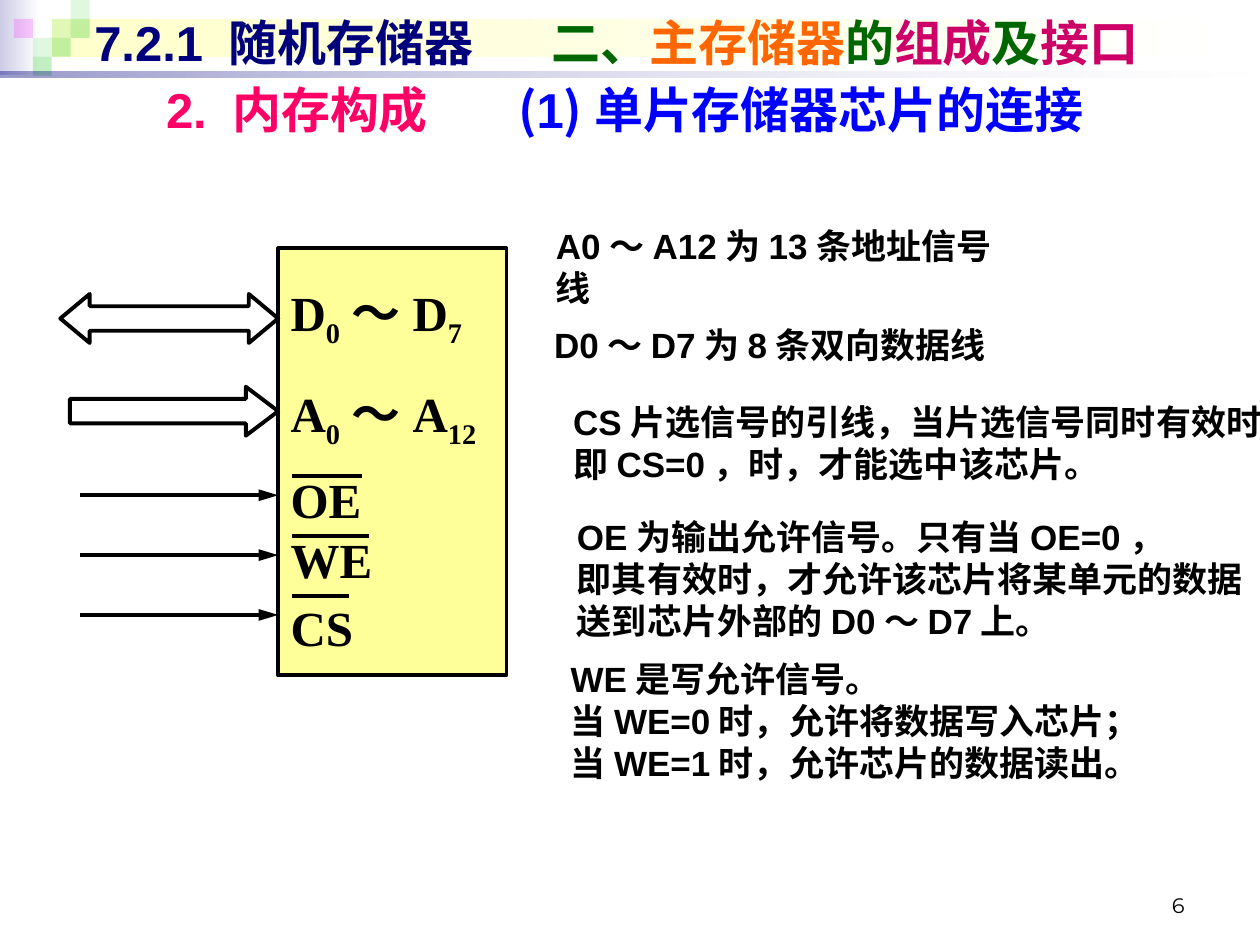
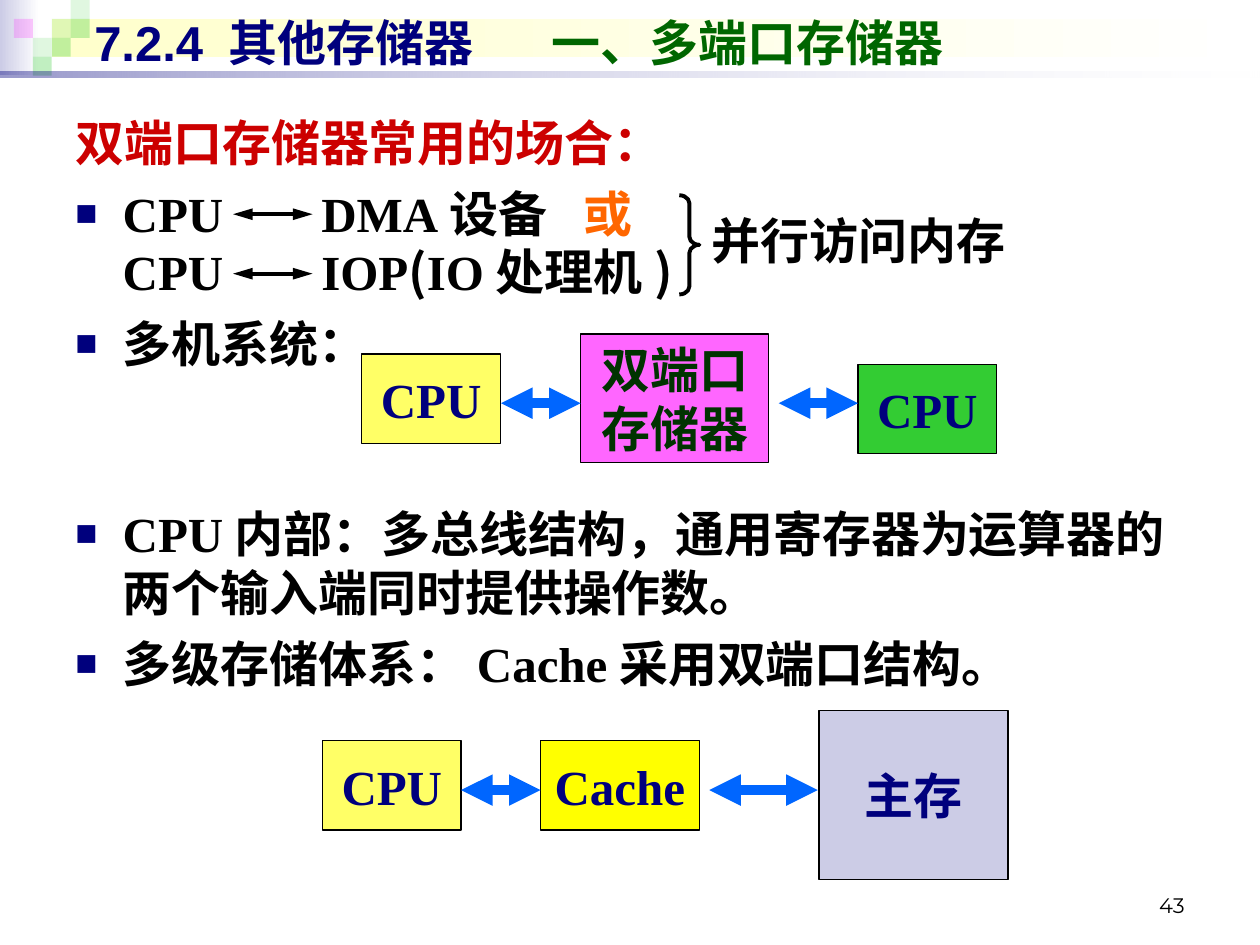
from dataclasses import dataclass

from lxml import etree
from pptx import Presentation
from pptx.dml.color import RGBColor
from pptx.enum import shapes, text
from pptx.oxml import ns
from pptx.util import Pt

NAVY = RGBColor(0x00, 0x00, 0x7D)
BLUE = RGBColor(0x00, 0x00, 0xFF)
LINK_BLUE = RGBColor(0x00, 0x66, 0xFF)
LAVENDER = RGBColor(0xCC, 0xCC, 0xE6)
GREEN = RGBColor(0x33, 0xCC, 0x33)
DARK_GREEN = RGBColor(0x00, 0x66, 0x00)
DEEP_GREEN = RGBColor(0x00, 0x33, 0x00)
MAGENTA = RGBColor(0xFF, 0x00, 0xFF)
PINK = RGBColor(0xFF, 0x66, 0xFF)
ROSE = RGBColor(0xFF, 0x00, 0x66)
CRIMSON = RGBColor(0xCC, 0x00, 0x66)
RED = RGBColor(0xCC, 0x00, 0x00)
ORANGE = RGBColor(0xFF, 0x66, 0x00)
CREAM = RGBColor(0xFF, 0xFF, 0xCC)
CHIP_YELLOW = RGBColor(0xFF, 0xFF, 0x99)
LEMON = RGBColor(0xFF, 0xFF, 0x66)
YELLOW = RGBColor(0xFF, 0xFF, 0x00)
BLACK = RGBColor(0x00, 0x00, 0x00)
WHITE = RGBColor(0xFF, 0xFF, 0xFF)

SANS, SERIF, CJK = "Arial", "Times New Roman", "Noto Sans CJK SC"
RECT = shapes.MSO_SHAPE.RECTANGLE
MIDDLE = text.MSO_ANCHOR.MIDDLE
STROKE = 2.24


@dataclass
class Run:
    """A piece of text; spread widens its letter spacing, in points."""
    text: str
    color: RGBColor = BLACK
    font: str = SANS
    size: float = 28
    bold: bool = True
    spread: float = 0
    subscript: bool = False


def add_child(parent, tag, **attributes):
    """Append a DrawingML element with the given attributes."""
    return etree.SubElement(parent, ns.qn(tag), attributes)


def add_runs(paragraph, runs):
    """Write the runs into the paragraph; a newline is a line break."""
    for item in runs:
        if item.text == "\n":
            paragraph.add_line_break()
            continue
        run = paragraph.add_run()
        run.text = item.text
        run.font.size, run.font.bold = Pt(item.size), item.bold
        run.font.name, run.font.color.rgb = item.font, item.color
        properties = run.font._element
        add_child(properties, "a:ea", typeface=CJK)
        if item.spread:
            properties.set("spc", str(round(item.spread * 100)))
        if item.subscript:
            properties.set("baseline", "-25000")


def fill_frame(frame, paragraphs, anchor=None, align=None, wrap=True):
    """Fill a text frame with lists of runs, one list a paragraph."""
    frame.word_wrap = wrap
    frame.vertical_anchor = anchor
    for index, runs in enumerate(paragraphs):
        paragraph = frame.paragraphs[0] if index == 0 else frame.add_paragraph()
        paragraph.alignment = align
        add_runs(paragraph, runs)


def add_text(slide, box, paragraphs, **options):
    """Add a text box at (left, top, width, height)."""
    frame = slide.shapes.add_textbox(*map(Pt, box)).text_frame
    fill_frame(frame, paragraphs, **options)
    return frame


def add_shape(slide, box, kind=RECT, fill=None, line=None, width=STROKE):
    """Add a flat preset shape with optional fill and outline."""
    shape = slide.shapes.add_shape(kind, *map(Pt, box))
    shape.shadow.inherit = False
    if fill is None:
        shape.fill.background()
    else:
        shape.fill.solid()
        shape.fill.fore_color.rgb = fill
    if line is None:
        shape.line.fill.background()
    else:
        shape.line.color.rgb = line
        shape.line.width = Pt(width)
    return shape


def set_opacity(shape, *percents):
    """Give the fill colours of a shape their opacities, in order."""
    colors = shape._element.spPr.iter(ns.qn("a:srgbClr"))
    for color, percent in zip(colors, percents):
        add_child(color, "a:alpha", val=str(percent * 1000))


def add_fade(slide, box, start, end):
    """Add a rectangle that fades from left to right."""
    shape = add_shape(slide, box)
    shape.fill.gradient()
    shape.fill.gradient_angle = 0
    for stop, color in zip(shape.fill.gradient_stops, (start, end)):
        stop.color.rgb = color
    return shape


def add_line(slide, start, end, color=BLACK, width=STROKE, heads=(), length="lg"):
    """Add a straight line; heads names the ends that carry arrowheads."""
    line = slide.shapes.add_connector(
        shapes.MSO_CONNECTOR.STRAIGHT, *map(Pt, (*start, *end)))
    line.line.color.rgb = color
    line.line.width = Pt(width)
    outline = line.line._get_or_add_ln()
    for head in heads:
        add_child(outline, f"a:{head}End", type="triangle", w="med", len=length)
    add_child(line._element.spPr, "a:effectLst")


def add_frame(slide, title, number):
    """Draw the header band, the title and the slide number."""
    add_fade(slide, (0, 0, 22.5, 43), LAVENDER, WHITE)
    add_fade(slide, (29.6, 10.8, 687.6, 21.6), CREAM, WHITE)
    tile = 10.8
    for column, row, color, opacity in (
            (2, 1, GREEN, 15), (3, 0, GREEN, 15), (3, 1, GREEN, 30),
            (1, 2, GREEN, 15), (0, 1, MAGENTA, 20), (2, 2, GREEN, 30),
            (1, 3, GREEN, 30)):
        square = add_shape(slide, (8 + column * tile, row * tile, tile, tile), fill=color)
        set_opacity(square, opacity)
    set_opacity(add_fade(slide, (0, 40.8, 720, 3.6), NAVY, WHITE), 40, 10)
    add_text(slide, (516, 491.8, 168, 36),
             [[Run(str(number), font="Montserrat", size=12, bold=False)]],
             anchor=text.MSO_ANCHOR.BOTTOM, align=text.PP_ALIGN.RIGHT)
    add_text(slide, (46.8, 3.6, 648, 41), [title], anchor=MIDDLE)


def add_chip(slide, left, top):
    """Draw the memory chip with its buses, control lines and pin names."""
    add_shape(slide, (left, top, 130.5, 244), fill=CHIP_YELLOW, line=BLACK)
    buses = (
        (shapes.MSO_SHAPE.LEFT_RIGHT_ARROW, 124.5, 26, 0.6, 16, "D", "7"),
        (shapes.MSO_SHAPE.RIGHT_ARROW, 119, 79, 0.66, 73.5, "A", "12"))
    for kind, width, offset, head, label, letter, last in buses:
        arrow = add_shape(slide, (left - width, top + offset, width, 28), kind, line=BLACK)
        arrow.adjustments[0], arrow.adjustments[1] = 0.5, head
        add_text(slide, (left, top + label, 130.5, 45), [[
            Run(letter, font=SERIF), Run("0", font=SERIF, subscript=True),
            Run("～" + letter, font=SERIF), Run(last, font=SERIF, subscript=True)]])
    pins = (("OE", 123, 39.6), ("WE", 157, 44), ("CS", 195.7, 32.4))
    for index, (name, label, bar) in enumerate(pins):
        y = top + 141 + index * 34.2
        add_line(slide, (left - 113, y), (left, y), heads=["tail"])
        add_text(slide, (left, top + label, 130.5, 41), [[Run(name, font=SERIF)]])
        add_line(slide, (left + 8, y - 11), (left + 8 + bar, y - 11))


def add_notes(slide, left, top):
    """Write the explanations of the signals beside the chip."""
    notes = (
        (1, 0, 283, 32, ["A0～A12为13条地址信号线"]),
        (0, 44.6, 261, 32, ["D0～D7为8条双向数据线"]),
        (10.8, 89.3, 428, 55.4,
         ["CS片选信号的引线，当片选信号同时有效时，", "即CS=0，时，才能选中该芯片。"]),
        (13, 154.8, 395, 79,
         ["OE为输出允许信号。只有当OE=0，", "即其有效时，才允许该芯片将某单元的数据",
          "送到芯片外部的D0～D7上。"]),
        (9.4, 236.2, 340, 79,
         ["WE是写允许信号。", "当WE=0时，允许将数据写入芯片；", "当WE=1时，允许芯片的数据读出。"]))
    for x, y, width, height, lines in notes:
        frame = add_text(slide, (left + x, top + y, width, height),
                         [[Run(line, size=20)] for line in lines],
                         anchor=MIDDLE, wrap=False)
        frame.auto_size = text.MSO_AUTO_SIZE.SHAPE_TO_FIT_TEXT


def add_bullets(slide, box, heading, items):
    """Write a heading and bulleted (space before, runs) items."""
    frame = add_text(slide, box, [heading] + [runs for _, runs in items])
    for paragraph, (space, _) in zip(frame.paragraphs[1:], items):
        paragraph.space_before = Pt(space)
        properties = paragraph._element.get_or_add_pPr()
        properties.set("marL", str(Pt(27)))
        properties.set("indent", str(-Pt(27)))
        add_child(add_child(properties, "a:buClr"), "a:srgbClr", val=str(NAVY))
        add_child(properties, "a:buSzPct", val="75000")
        add_child(properties, "a:buFont", typeface=SANS)
        add_child(properties, "a:buChar", char="■")


def add_blocks(slide, left, top, blocks, links, link_y):
    """Draw labelled blocks and the two-way links between them."""
    for x, y, width, height, fill, color, lines in blocks:
        block = add_shape(slide, (left + x, top + y, width, height),
                          fill=fill, line=BLACK, width=0.74)
        fill_frame(block.text_frame, [[Run(line, color, SERIF)] for line in lines],
                   anchor=MIDDLE, align=text.PP_ALIGN.CENTER, wrap=False)
    for start, end in links:
        add_line(slide, (left + start, top + link_y), (left + end, top + link_y),
                 LINK_BLUE, 6, ("head", "tail"), "med")


def add_parallel_access(slide, left, top):
    """Draw the two short links, the brace and its caption."""
    for y in (0, 34):
        add_line(slide, (left, top + y), (left + 45.4, top + y), heads=("head", "tail"))
    brace = add_shape(slide, (left + 255, top - 10.8, 11.5, 56.7),
                      shapes.MSO_SHAPE.RIGHT_BRACE, line=BLACK)
    brace.adjustments[0] = 0.4
    add_text(slide, (left + 266.4, top - 5.8, 193, 41),
             [[Run("并行访问内存", font="Courier New")]])


def build_single_chip(slide):
    """Slide on wiring a single memory chip."""
    add_frame(slide, [
        Run("7.2.1 随机存储器", NAVY), Run(" ", spread=38.5), Run("二、", DARK_GREEN),
        Run("主存储器", ORANGE), Run("的", DARK_GREEN), Run("组成", CRIMSON),
        Run("及", DARK_GREEN), Run("接口", CRIMSON)], 6)
    add_text(slide, (87.8, 41.8, 608.4, 41), [[
        Run("2. 内存构成", ROSE), Run(" ", spread=38.5), Run("(", BLUE, CJK),
        Run("1", BLUE), Run(")", BLUE, CJK), Run("单片存储器芯片的连接", BLUE)]],
        anchor=MIDDLE)
    add_chip(slide, 159, 142)
    add_notes(slide, 309.6, 136)


def build_dual_port(slide):
    """Slide on the uses of dual-port memory."""
    add_frame(slide, [Run("7.2.4 其他存储器", NAVY), Run(" ", spread=38.5),
                      Run("一、多端口存储器", DARK_GREEN)], 43)
    wide_gap = Run(" ", font=SERIF, spread=49)
    add_bullets(
        slide, (36, 60.5, 658.8, 430.5), [Run("双端口存储器常用的场合：", RED, SERIF)], (
            (7, [Run("CPU", font=SERIF), wide_gap, Run("DMA设备", font=SERIF),
                 Run(" ", font=SERIF, spread=14), Run("或", ORANGE, SERIF), Run("\n"),
                 Run("CPU", font=SERIF), wide_gap, Run("IOP", font=SERIF),
                 Run("(", font=CJK), Run("IO处理机", font=SERIF), Run(")", font=CJK)]),
            (7, [Run("多机系统：", font=SERIF)]),
            (75, [Run("CPU内部：多总线结构，通用寄存器为运算器的两个输入端同时提供操作数。",
                      font=SERIF)]),
            (7, [Run("多级存储体系：Cache采用双端口结构。", font=SERIF)])))
    add_parallel_access(slide, 133.2, 122.4)
    add_blocks(slide, 206.8, 190.8, (
        (125, 0, 107.5, 73.5, PINK, DEEP_GREEN, ["双端口", "存储器"]),
        (0, 11.5, 79.2, 51, LEMON, NAVY, ["CPU"]),
        (283.5, 17.3, 79.2, 51, GREEN, NAVY, ["CPU"])),
        ((79.5, 125), (238.2, 283.5)), 39.6)
    add_blocks(slide, 184.3, 406, (
        (0, 17.3, 79.2, 51, LEMON, NAVY, ["CPU"]),
        (124.6, 17.3, 90.7, 51, YELLOW, NAVY, ["Cache"]),
        (283.7, 0, 108, 96.5, LAVENDER, NAVY, ["主存"])),
        ((79.2, 124.6), (221, 283)), 45.5)


presentation = Presentation()
presentation.slide_width, presentation.slide_height = Pt(720), Pt(540)
for build in (build_single_chip, build_dual_port):
    build(presentation.slides.add_slide(presentation.slide_layouts[6]))
presentation.save("out.pptx")
